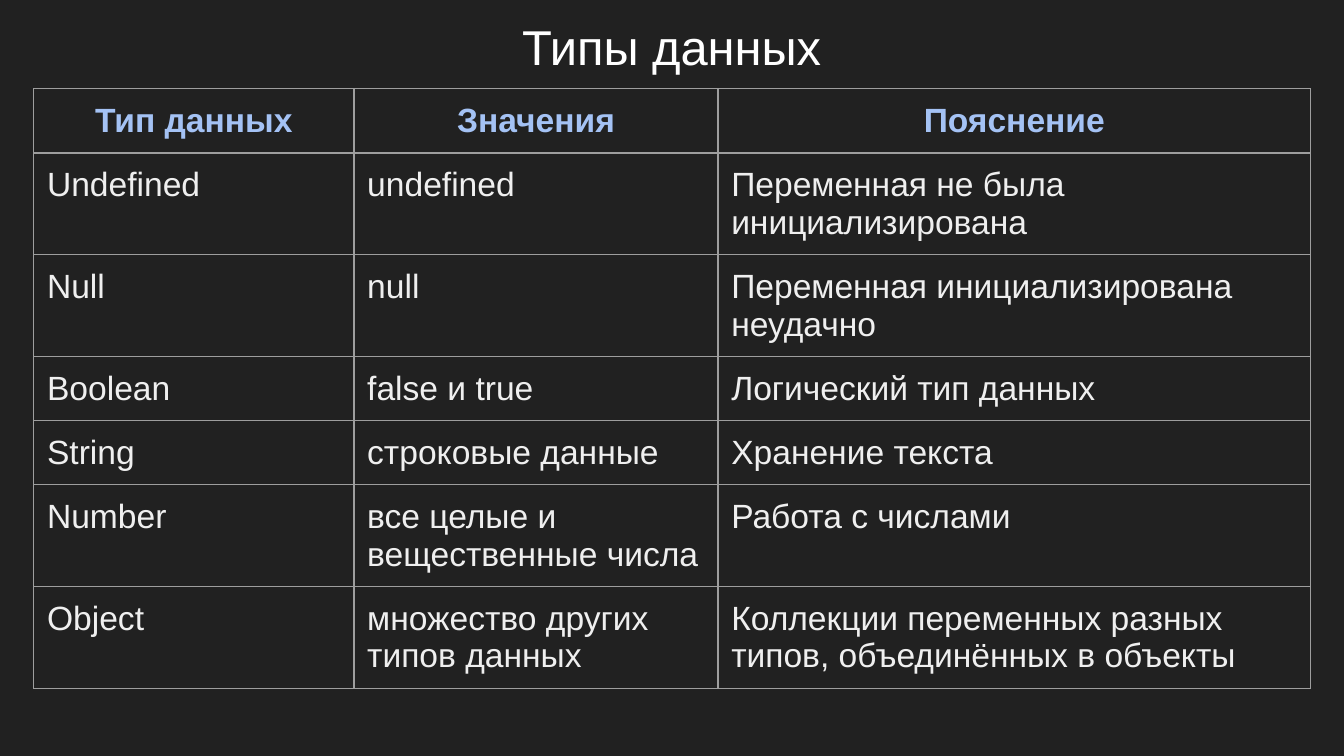
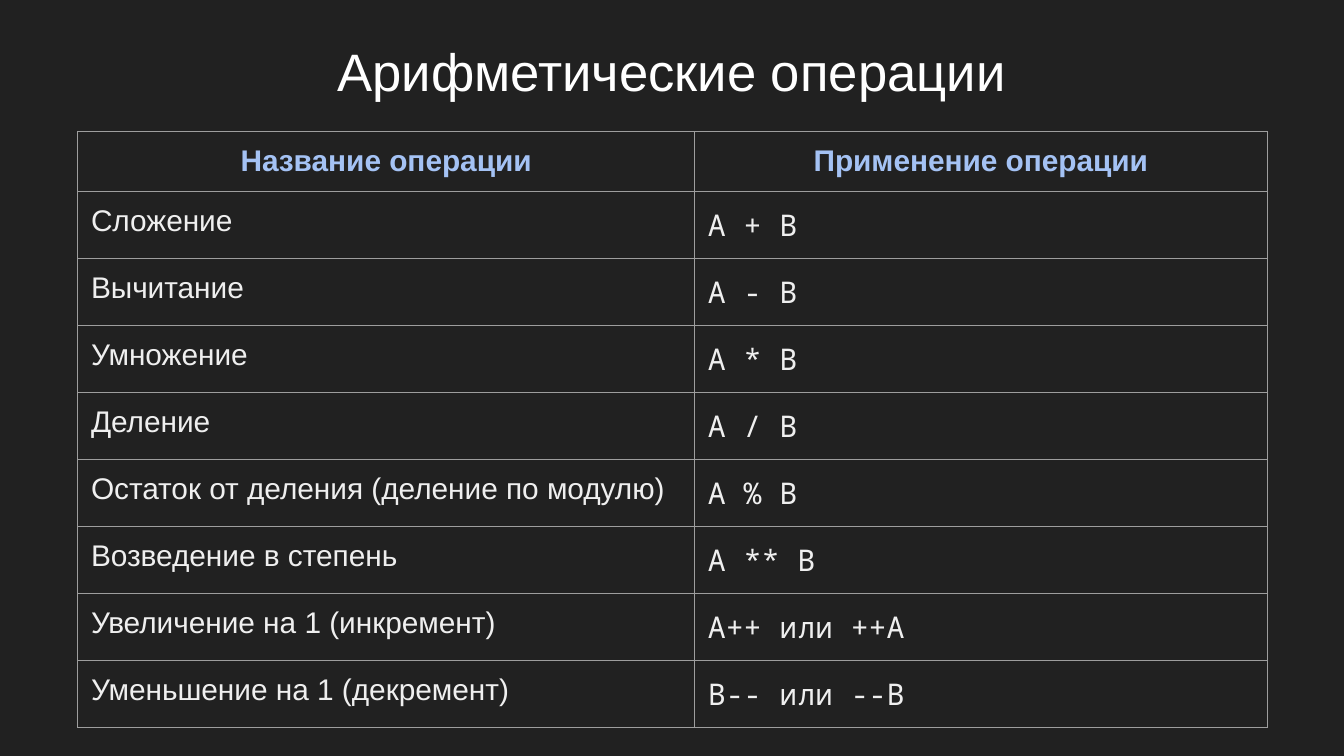
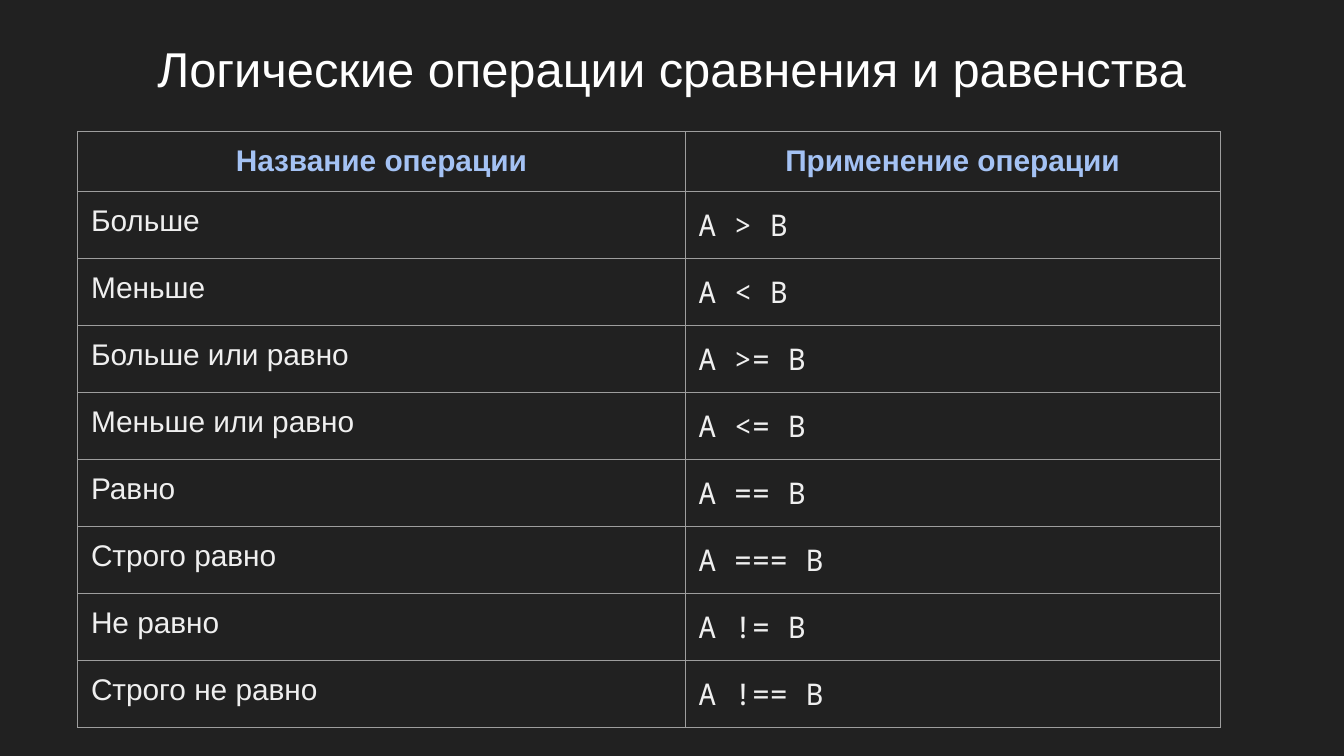
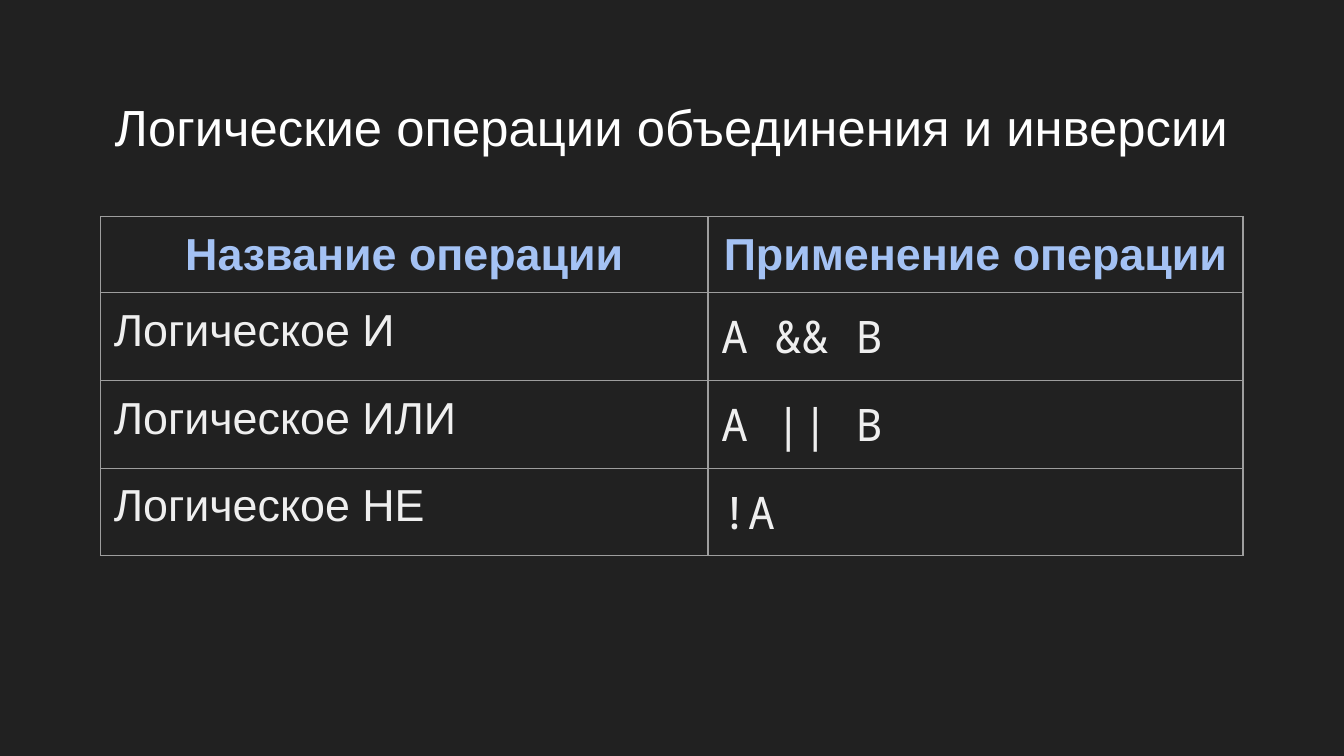
import pptx
import pptx.util
import pptx.dml.color
import pptx.enum.text
import pptx.oxml.ns
import lxml.etree

Cm = pptx.util.Cm
COLORS = {
    "background": "212121",
    "title": "FFFFFF",
    "header": "A4C2F4",
    "body": "EFEFEF",
    "border": "9E9E9E",
}
TEXT_FONT = "Arial"
CODE_FONT = "Noto Sans Mono"
INSET = Cm(0.25)
BORDER_WIDTH = pptx.util.Pt(0.75)
OPERATION_HEADER = ("Название операции", "Применение операции")
OPERATION_ROW = 1.07

# Slide contents; positions and sizes in centimetres
pages = [
    {
        "title": "Типы данных",
        "title_size": 26.2, "title_top": 0.2, "title_height": 1.32,
        "table_left": 0.64, "table_top": 1.68, "text_size": 18,
        "columns": [6.05, 6.88, 11.2],
        "row_heights": [1, 1.57, 1.57, 1, 1, 1.57, 1.57],
        "fonts": [TEXT_FONT] * 3,
        "rows": [
            ("Тип данных", "Значения", "Пояснение"),
            ("Undefined", "undefined", "Переменная не была инициализирована"),
            ("Null", "null", "Переменная инициализирована неудачно"),
            ("Boolean", "false и true", "Логический тип данных"),
            ("String", "строковые данные", "Хранение текста"),
            ("Number", "все целые и вещественные числа", "Работа с числами"),
            ("Object", "множество других типов данных",
             "Коллекции переменных разных типов, объединённых в объекты"),
        ],
    },
    {
        "title": "Арифметические операции",
        "title_size": 28.2, "title_top": 0.53, "title_height": 1.6,
        "table_left": 1.47, "table_top": 2.49, "text_size": 16,
        "columns": [11.66, 10.82],
        "row_heights": [OPERATION_ROW] * 9,
        "fonts": [TEXT_FONT, CODE_FONT],
        "rows": [
            OPERATION_HEADER,
            ("Сложение", "A + B"),
            ("Вычитание", "A - B"),
            ("Умножение", "A * B"),
            ("Деление", "A / B"),
            ("Остаток от деления (деление по модулю)", "A % B"),
            ("Возведение в степень", "A ** B"),
            ("Увеличение на 1 (инкремент)", "A++ или ++A"),
            ("Уменьшение на 1 (декремент)", "B-- или --B"),
        ],
    },
    {
        "title": "Логические операции сравнения и равенства",
        "title_size": 26.2, "title_top": 0.53, "title_height": 1.5,
        "table_left": 1.47, "table_top": 2.49, "text_size": 16,
        "columns": [11.48, 10.11],
        "row_heights": [OPERATION_ROW] * 9,
        "fonts": [TEXT_FONT, CODE_FONT],
        "rows": [
            OPERATION_HEADER,
            ("Больше", "A > B"),
            ("Меньше", "A < B"),
            ("Больше или равно", "A >= B"),
            ("Меньше или равно", "A <= B"),
            ("Равно", "A == B"),
            ("Строго равно", "A === B"),
            ("Не равно", "A != B"),
            ("Строго не равно", "A !== B"),
        ],
    },
    {
        "title": "Логические операции объединения и инверсии",
        "title_size": 27.2, "title_top": 1.63, "title_height": 1.5,
        "table_left": 1.9, "table_top": 4.09, "text_size": 24,
        "columns": [11.48, 10.11],
        "row_heights": [OPERATION_ROW] * 4,
        "fonts": [TEXT_FONT, CODE_FONT],
        "rows": [
            OPERATION_HEADER,
            ("Логическое И", "A && B"),
            ("Логическое ИЛИ", "A || B"),
            ("Логическое НЕ", "!A"),
        ],
    },
]


def format_text(para, font, size, color, bold=False, centered=False):
    align = pptx.enum.text.PP_ALIGN
    para.alignment = align.CENTER if centered else align.LEFT
    for span in para.runs:
        span.font.name = font
        span.font.size = pptx.util.Pt(size)
        span.font.bold = bold
        span.font.color.rgb = pptx.dml.color.RGBColor.from_string(COLORS[color])


def add_borders(cell):
    qn = pptx.oxml.ns.qn
    properties = cell._tc.get_or_add_tcPr()
    for side in ("a:lnL", "a:lnR", "a:lnT", "a:lnB"):
        line = lxml.etree.SubElement(properties, qn(side), w=str(BORDER_WIDTH))
        fill = lxml.etree.SubElement(line, qn("a:solidFill"))
        lxml.etree.SubElement(fill, qn("a:srgbClr"), val=COLORS["border"])


# Deck and shared dark background
deck = pptx.Presentation()
deck.slide_width = Cm(25.4)
deck.slide_height = Cm(14.29)
background = deck.slide_master.background.fill
background.solid()
background.fore_color.rgb = pptx.dml.color.RGBColor.from_string(COLORS["background"])
title_only = deck.slide_layouts.get_by_name("Title Only")

for page in pages:
    slide = deck.slides.add_slide(title_only)

    # Title
    title = slide.shapes.title
    title.left, title.top = Cm(0.86), Cm(page["title_top"])
    title.width, title.height = Cm(23.67), Cm(page["title_height"])
    frame = title.text_frame
    frame.text = page["title"]
    frame.word_wrap = True
    frame.auto_size = pptx.enum.text.MSO_AUTO_SIZE.NONE
    frame.vertical_anchor = pptx.enum.text.MSO_ANCHOR.MIDDLE
    frame.margin_left = frame.margin_right = INSET
    frame.margin_top = frame.margin_bottom = INSET
    format_text(frame.paragraphs[0], TEXT_FONT, page["title_size"], "title", centered=True)

    # Table grid
    rows, columns, heights = page["rows"], page["columns"], page["row_heights"]
    table = slide.shapes.add_table(
        len(rows), len(columns), Cm(page["table_left"]), Cm(page["table_top"]),
        Cm(sum(columns)), Cm(sum(heights))).table
    table.first_row = False
    table.horz_banding = False
    for column, width in zip(table.columns, columns):
        column.width = Cm(width)
    for row, height in zip(table.rows, heights):
        row.height = Cm(height)

    # Table cells
    for row_index, row in enumerate(rows):
        is_header = row_index == 0
        for column_index, text in enumerate(row):
            cell = table.cell(row_index, column_index)
            cell.text_frame.text = text
            cell.margin_left = cell.margin_right = INSET
            cell.margin_top = cell.margin_bottom = INSET
            add_borders(cell)
            cell.fill.background()
            format_text(
                cell.text_frame.paragraphs[0],
                TEXT_FONT if is_header else page["fonts"][column_index],
                page["text_size"],
                "header" if is_header else "body",
                bold=is_header, centered=is_header)

deck.save("out.pptx")
